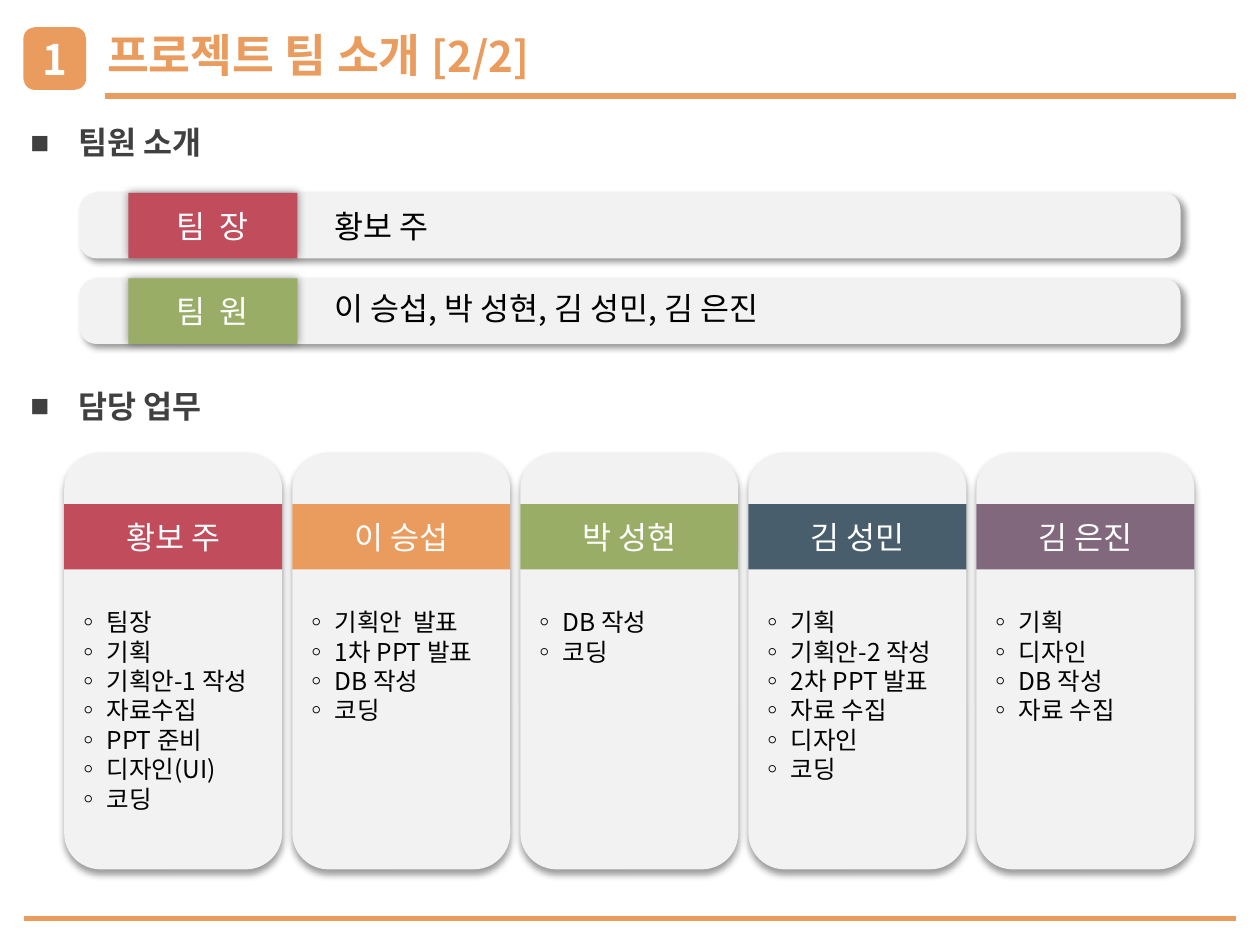
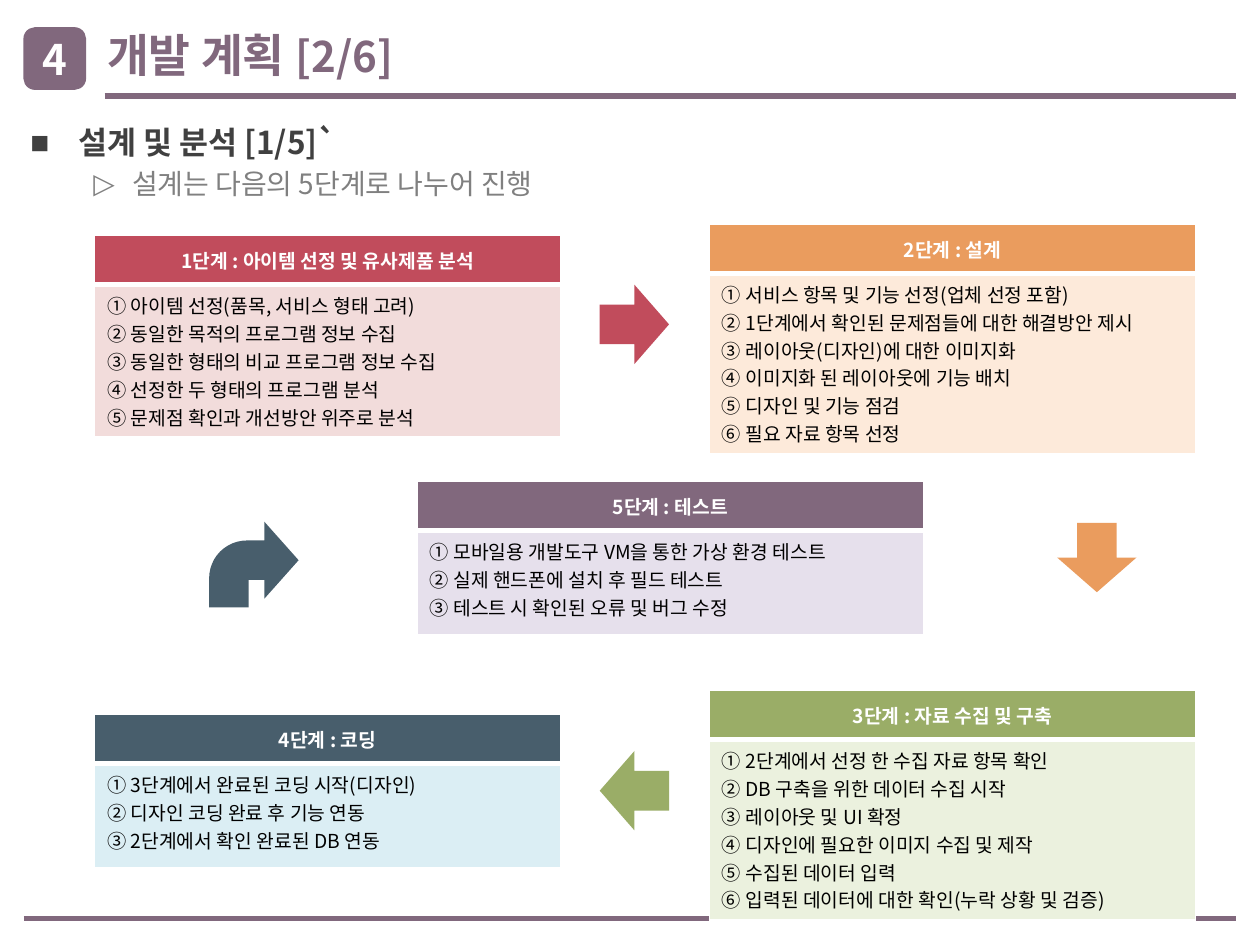
from dataclasses import dataclass

from lxml.etree import SubElement
from pptx import Presentation
from pptx.dml.color import RGBColor
from pptx.enum.shapes import MSO_CONNECTOR, MSO_SHAPE as SHAPE
from pptx.enum.text import MSO_ANCHOR as ANCHOR, MSO_AUTO_SIZE as FIT, PP_ALIGN as ALIGN
from pptx.oxml.ns import qn
from pptx.util import Inches, Pt


@dataclass(frozen=True)
class Theme:
    font: str = "Noto Sans CJK KR"
    red: str = "C14C5C"
    orange: str = "EA9C5E"
    green: str = "9AAD67"
    navy: str = "485E6C"
    purple: str = "81687D"
    red_tint: str = "F2DCDB"
    orange_tint: str = "FDEADA"
    green_tint: str = "EBF1DE"
    navy_tint: str = "DBEEF4"
    purple_tint: str = "E6E0EC"
    panel: str = "F2F2F2"
    white: str = "FFFFFF"
    black: str = "000000"
    heading: str = "404040"
    subheading: str = "808080"
    title_size: int = 26
    number_size: int = 24
    heading_size: int = 18
    subheading_size: int = 16
    list_size: int = 14
    table_size: int = 11
    rule_width: float = 3.25


T = Theme()
DROP = (4, 3, 90)
DIAGONAL = (4, 3, 45)
GLOW = (5, 0, 0)


class Deck:
    def __init__(self, theme):
        self.theme = theme
        self.prs = Presentation()
        self.prs.slide_width, self.prs.slide_height = Inches(10), Inches(7.5)
        self.s = None

    def style(self, p, size, color, bold=False, align=None):
        if align is not None:
            p.alignment = align
        for r in p.runs:
            r.font.size, r.font.bold = Pt(size), bold
            r.font.color.rgb = RGBColor.from_string(color)
            r.font.name = self.theme.font
            SubElement(r.font._element, qn("a:ea"), typeface=self.theme.font)

    def place(self, sp, box):
        sp.left, sp.top, sp.width, sp.height = map(Inches, box)

    def slide(self, number, title, page, accent):
        t = self.theme
        self.s = self.prs.slides.add_slide(self.prs.slide_layouts[1])
        sp = self.s.shapes.title
        self.place(sp, (0.75, 0.13, 5.83, 0.61))
        tf = sp.text_frame
        tf.auto_size, tf.vertical_anchor = FIT.NONE, ANCHOR.MIDDLE
        tf.text = title + " "
        p = tf.paragraphs[0]
        p.add_run().text = page
        self.style(p, t.title_size, accent, True, ALIGN.LEFT)
        p.runs[1].font.size = Pt(t.number_size)
        badge = self.block((0.2, 0.23, 0.47, 0.47), accent, number, SHAPE.ROUNDED_RECTANGLE,
                           size=t.number_size, bold=True)
        badge.line.color.rgb = RGBColor.from_string(accent)
        badge.line.width = Pt(2)
        self.rule(0.83, 0.76, accent)
        self.rule(0.19, 7.29, accent)

    def rule(self, left, y, color):
        line = self.s.shapes.add_connector(MSO_CONNECTOR.STRAIGHT, Inches(left), Inches(y),
                                           Inches(9.81), Inches(y))
        line.line.color.rgb = RGBColor.from_string(color)
        line.line.width = Pt(self.theme.rule_width)
        SubElement(line._element.spPr, qn("a:effectLst"))

    def outline(self, items):
        t = self.theme
        looks = [("■", 0.38, 0.38, t.heading_size, t.heading, True),
                 ("▷", 0.81, 0.31, t.subheading_size, t.subheading, False)]
        sp = self.s.placeholders[1]
        self.place(sp, (0.14, 0.93, 9.67, 6.37))
        tf = sp.text_frame
        tf.auto_size = FIT.NONE
        tf.text = "\n".join(text for text, _, _ in items)
        for p, (_, level, gap) in zip(tf.paragraphs, items):
            mark, margin, hang, size, color, bold = looks[level]
            p.level = level
            p.space_before = Pt(gap or 0.2 * size)
            self.style(p, size, color, bold)
            pPr = p._p.get_or_add_pPr()
            pPr.set("marL", str(Inches(margin)))
            pPr.set("indent", str(-Inches(hang)))
            SubElement(pPr, qn("a:buChar"), char=mark)

    def block(self, box, fill, text="", kind=SHAPE.RECTANGLE, shadow=None, parent=None,
              size=T.heading_size, bold=False, adjust=(), rotation=0):
        sp = (parent or self.s).shapes.add_shape(kind, *map(Inches, box))
        sp.fill.solid()
        sp.fill.fore_color.rgb = RGBColor.from_string(fill)
        sp.line.fill.background()
        sp.shadow.inherit = False
        sp.rotation = rotation
        for i, value in enumerate(adjust):
            sp.adjustments[i] = value
        if shadow:
            self.cast(sp, *shadow)
        if text:
            tf = sp.text_frame
            tf.text, tf.vertical_anchor = text, ANCHOR.MIDDLE
            self.style(tf.paragraphs[0], size, self.theme.white, bold, ALIGN.CENTER)
        return sp

    def cast(self, sp, blur, distance, angle):
        effects = sp._element.spPr.find(qn("a:effectLst"))
        outer = SubElement(effects, qn("a:outerShdw"), blurRad=str(Pt(blur)),
                           dist=str(Pt(distance)), dir=str(angle * 60000), rotWithShape="0")
        color = SubElement(outer, qn("a:srgbClr"), val=self.theme.black)
        SubElement(color, qn("a:alpha"), val="40000")

    def text(self, box, lines, size, anchor=ANCHOR.TOP):
        tf = self.s.shapes.add_textbox(*map(Inches, box)).text_frame
        tf.word_wrap, tf.auto_size, tf.vertical_anchor = True, FIT.SHAPE_TO_FIT_TEXT, anchor
        tf.text = "\n".join(lines)
        for p in tf.paragraphs:
            self.style(p, size, self.theme.black)

    def borders(self, cell, bottom):
        tcPr = cell._tc.get_or_add_tcPr()
        for i, (side, width) in enumerate(zip("LRTB", (1, 1, 1, bottom))):
            ln = tcPr.makeelement(qn(f"a:ln{side}"), {"w": str(Pt(width))})
            fill = SubElement(ln, qn("a:solidFill"))
            SubElement(fill, qn("a:srgbClr"), val=self.theme.white)
            tcPr.insert(i, ln)

    def stage(self, left, top, width, fill, tint, heading, steps):
        t = self.theme
        heights = (0.39, max(0.83, 0.1 + 0.22 * len(steps)))
        table = self.s.shapes.add_table(2, 1, Inches(left), Inches(top), Inches(width),
                                        Inches(sum(heights))).table
        rows = [(heading, fill, t.white, True, ALIGN.CENTER, ANCHOR.MIDDLE, 3),
                ("\n".join(steps), tint, t.black, False, ALIGN.LEFT, ANCHOR.TOP, 1)]
        for i, (text, back, color, bold, align, anchor, bottom) in enumerate(rows):
            table.rows[i].height = Inches(heights[i])
            cell = table.cell(i, 0)
            cell.text, cell.vertical_anchor = text, anchor
            cell.fill.solid()
            cell.fill.fore_color.rgb = RGBColor.from_string(back)
            self.borders(cell, bottom)
            for p in cell.text_frame.paragraphs:
                self.style(p, t.table_size, color, bold, align)


def team_slide(deck):
    deck.slide("1", "프로젝트 팀 소개", "[2/2]", T.orange)
    deck.outline([("팀원 소개", 0, None), ("담당 업무", 0, 129)])

    members = [
        ("황보 주", T.red, ["팀장", "기획", "기획안-1 작성", "자료수집", "PPT 준비", "디자인(UI)", "코딩"]),
        ("이 승섭", T.orange, ["기획안  발표", "1차 PPT 발표", "DB 작성", "코딩"]),
        ("박 성현", T.green, ["DB 작성", "코딩"]),
        ("김 성민", T.navy, ["기획", "기획안-2 작성", "2차 PPT 발표", "자료 수집", "디자인", "코딩"]),
        ("김 은진", T.purple, ["기획", "디자인", "DB 작성", "자료 수집"]),
    ]
    for i, (name, color, duties) in enumerate(members):
        left, width = 0.51 + 1.81 * i, 1.73
        deck.block((left, 3.59, width, 3.31), T.panel, kind=SHAPE.ROUNDED_RECTANGLE, shadow=DROP)
        deck.block((left, 4, width, 0.52), color, name)
        deck.text((left, 4.77, width, 0.1 + 0.235 * len(duties)),
                  [f"◦ {duty}" for duty in duties], T.list_size)

    roles = [("팀  장", T.red, 1.53, 1.59, "황보 주"),
             ("팀  원", T.green, 2.21, 2.24, "이 승섭, 박 성현, 김 성민, 김 은진")]
    for role, color, top, text_top, names in roles:
        group = deck.s.shapes.add_group_shape()
        deck.block((0.63, top, 8.74, 0.52), T.panel, kind=SHAPE.ROUNDED_RECTANGLE,
                   shadow=DIAGONAL, parent=group, adjust=[0.26])
        deck.block((1.02, top, 1.34, 0.52), color, role, shadow=GLOW, parent=group)
        deck.text((2.56, text_top, 6.54, 0.4), [names], T.heading_size, ANCHOR.MIDDLE)


def plan_slide(deck):
    deck.slide("4", "개발 계획", "[2/6]", T.purple)
    deck.outline([("설계 및 분석 [1/5]`", 0, None), ("설계는 다음의 5단계로 나누어 진행", 1, None)])

    stages = [
        (0.75, 1.87, 3.7, T.red, T.red_tint, "1단계 : 아이템 선정 및 유사제품 분석",
         ["① 아이템 선정(품목, 서비스 형태 고려)", "② 동일한 목적의 프로그램 정보 수집",
          "③ 동일한 형태의 비교 프로그램 정보 수집", "④ 선정한 두 형태의 프로그램 분석",
          "⑤ 문제점 확인과 개선방안 위주로 분석"]),
        (5.63, 1.78, 3.86, T.orange, T.orange_tint, "2단계 : 설계",
         ["① 서비스 항목 및 기능 선정(업체 선정 포함)",
          "② 1단계에서 확인된 문제점들에 대한 해결방안 제시",
          "③ 레이아웃(디자인)에 대한 이미지화", "④ 이미지화 된 레이아웃에 기능 배치",
          "⑤ 디자인 및 기능 점검", "⑥ 필요 자료 항목 선정"]),
        (5.63, 5.48, 3.86, T.green, T.green_tint, "3단계 : 자료 수집 및 구축",
         ["① 2단계에서 선정 한 수집 자료 항목 확인", "② DB 구축을 위한 데이터 수집 시작",
          "③ 레이아웃 및 UI 확정", "④ 디자인에 필요한 이미지 수집 및 제작",
          "⑤ 수집된 데이터 입력", "⑥ 입력된 데이터에 대한 확인(누락 상황 및 검증)"]),
        (0.75, 5.67, 3.7, T.navy, T.navy_tint, "4단계 : 코딩",
         ["① 3단계에서 완료된 코딩 시작(디자인)", "② 디자인 코딩 완료 후 기능 연동",
          "③ 2단계에서 확인 완료된 DB 연동"]),
        (3.31, 3.82, 4.02, T.purple, T.purple_tint, "5단계 : 테스트",
         ["① 모바일용 개발도구 VM을 통한 가상 환경 테스트",
          "② 실제 핸드폰에 설치 후 필드 테스트", "③ 테스트 시 확인된 오류 및 버그 수정"]),
    ]
    for stage in stages:
        deck.stage(*stage)

    arrows = [(4.76, 2.26, T.red, 0), (8.43, 4.11, T.orange, 90), (4.76, 5.96, T.green, 180)]
    for left, top, color, rotation in arrows:
        deck.block((left, top, 0.55, 0.63), color, kind=SHAPE.RIGHT_ARROW, rotation=rotation)
    deck.block((1.66, 4.14, 0.71, 0.68), T.navy, kind=SHAPE.BENT_ARROW,
               adjust=[0.46, 0.45, 0.4, 0.44])


def main():
    deck = Deck(T)
    team_slide(deck)
    plan_slide(deck)
    deck.prs.save("out.pptx")


if __name__ == "__main__":
    main()
